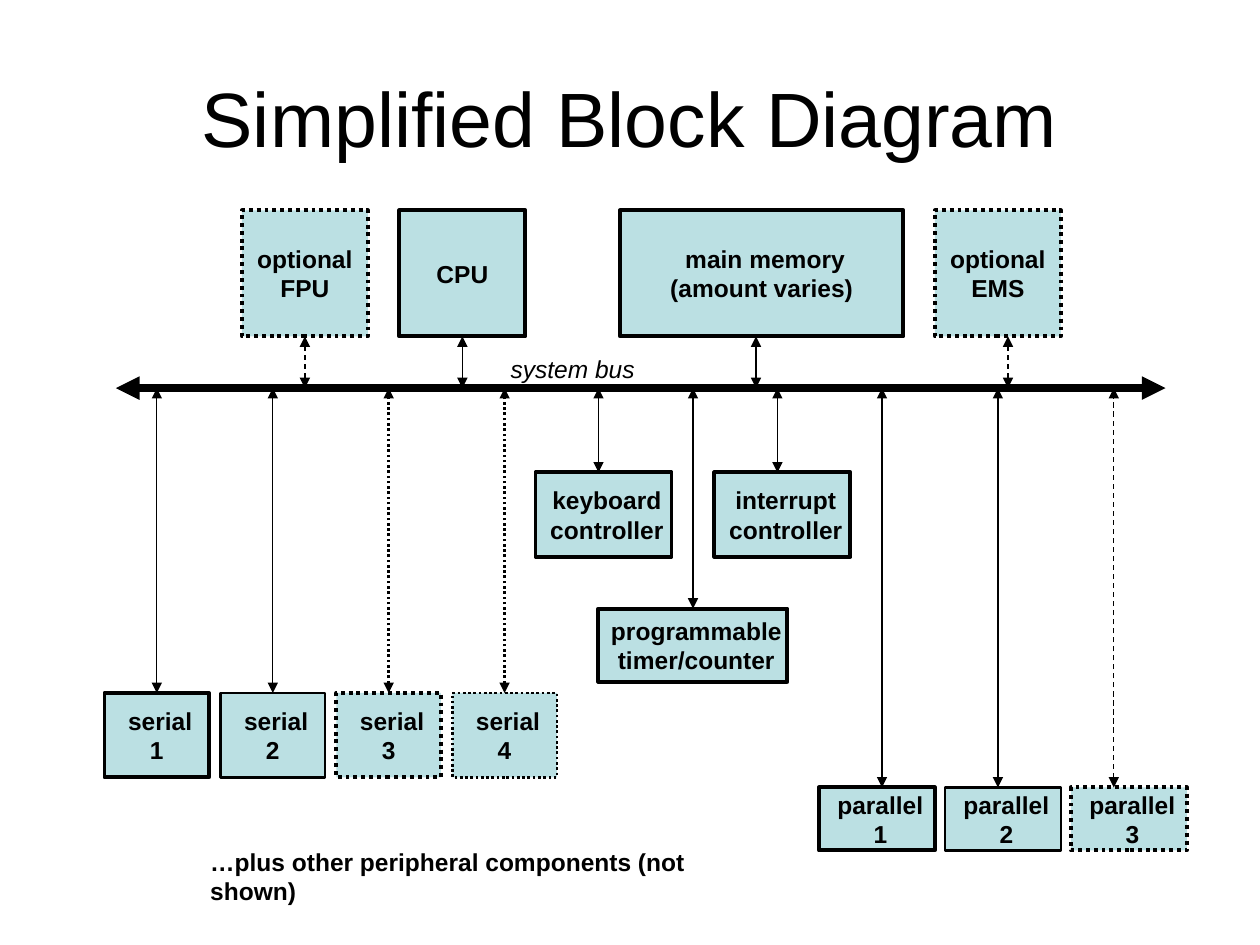
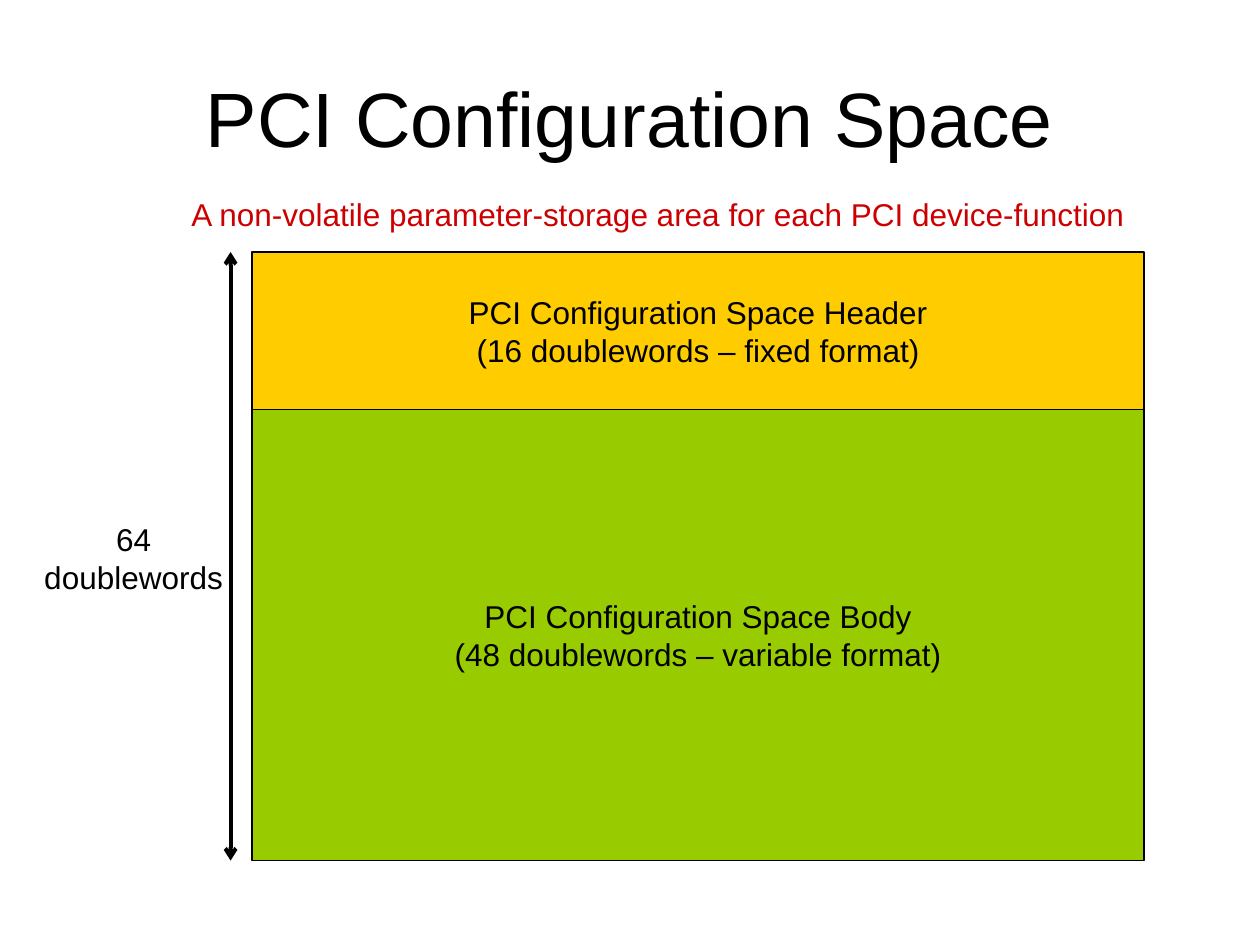
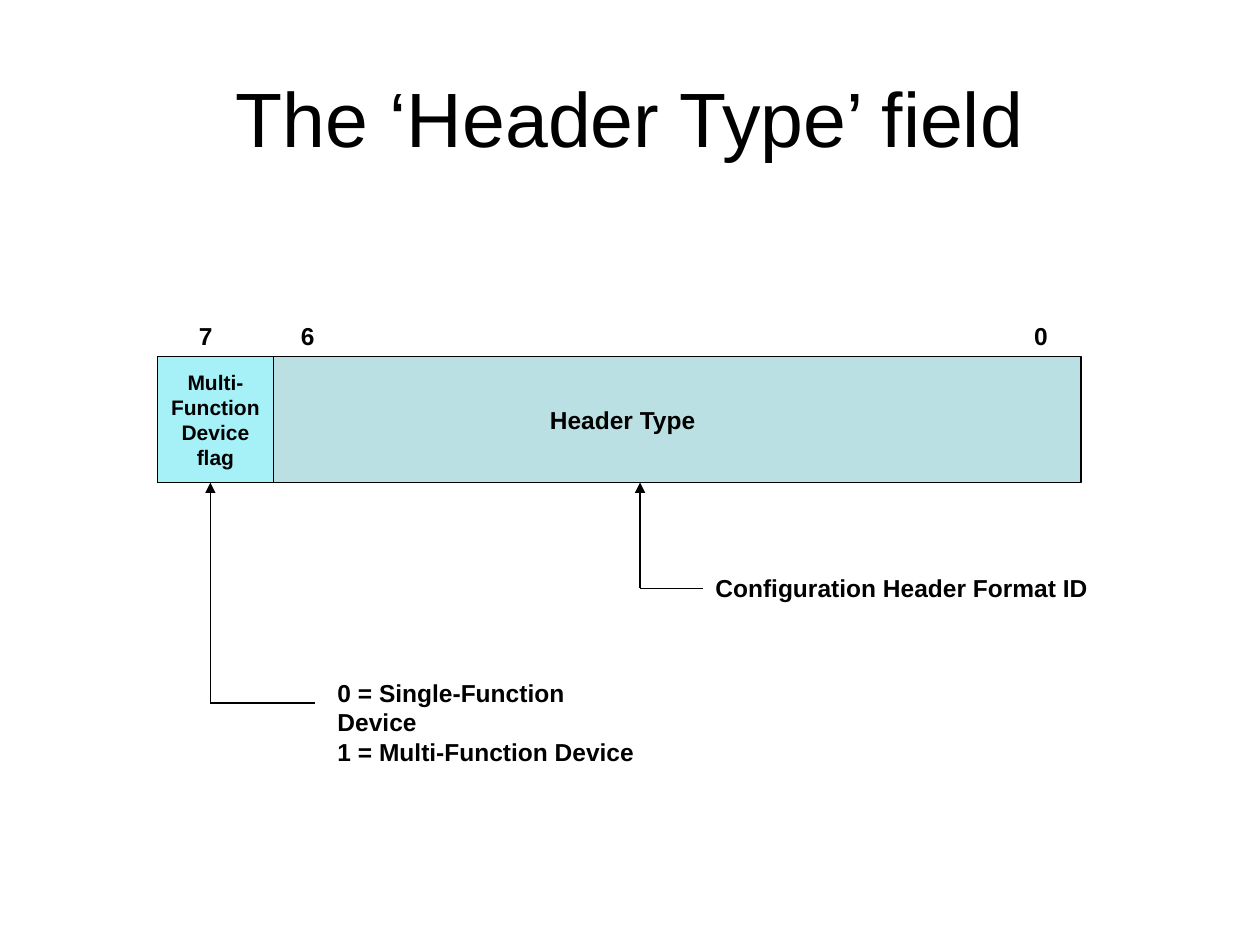
import lxml.etree
import pptx
import pptx.dml.color
import pptx.enum.dml
import pptx.enum.shapes
import pptx.enum.text
import pptx.oxml.ns
import pptx.util

Inches = pptx.util.Inches
Pt = pptx.util.Pt
ALIGN = pptx.enum.text.PP_ALIGN
DOTTED = pptx.enum.dml.MSO_LINE.ROUND_DOT
DASHED = pptx.enum.dml.MSO_LINE.DASH
TOP, BOTTOM = 0, 2
BLACK, PALE, CYAN = "000000", "BBE0E3", "A6F0F8"
GOLD, GREEN, RED = "FFCC00", "99CC00", "CC0000"


def rgb(code):
    return pptx.dml.color.RGBColor.from_string(code)


def add_xml(parent, tag, **attributes):
    return lxml.etree.SubElement(parent, pptx.oxml.ns.qn(tag), **attributes)


class Deck:
    """Holds the shared style and the current slide, and draws its elements."""

    font = "Arial"

    def __init__(self):
        self.deck = pptx.Presentation()
        self.deck.slide_width, self.deck.slide_height = Inches(10), Inches(7.5)
        self.slide = None

    def start(self, heading):
        self.slide = self.deck.slides.add_slide(self.deck.slide_layouts[5])
        title = self.slide.shapes.title
        title.left, title.top = Inches(0.5), Inches(0.3)
        title.width, title.height = Inches(9), Inches(1.25)
        title.text_frame.vertical_anchor = pptx.enum.text.MSO_ANCHOR.MIDDLE
        self.add_lines(title.text_frame, [heading], 44, align=ALIGN.CENTER)

    def add_lines(self, frame, lines, size, color=BLACK, bold=False, italic=False,
                  align=ALIGN.LEFT):
        for number, line in enumerate(lines):
            paragraph = frame.add_paragraph() if number else frame.paragraphs[0]
            paragraph.alignment = align
            run = paragraph.add_run()
            run.text = line
            run.font.name, run.font.size = self.font, Pt(size)
            run.font.bold, run.font.italic = bold, italic
            run.font.color.rgb = rgb(color)

    def outline(self, line, width, dash):
        line.color.rgb = rgb(BLACK)
        line.width = Pt(width)
        if dash:
            line.dash_style = dash

    def block(self, area, lines, fill=PALE, width=2.25, dash=None, size=14, bold=True):
        block = self.slide.shapes.add_shape(
            pptx.enum.shapes.MSO_SHAPE.RECTANGLE, *map(Inches, area))
        block.shadow.inherit = False
        block.fill.solid()
        block.fill.fore_color.rgb = rgb(fill)
        self.outline(block.line, width, dash)
        block.text_frame.word_wrap = False
        block.text_frame.vertical_anchor = pptx.enum.text.MSO_ANCHOR.MIDDLE
        self.add_lines(block.text_frame, lines, size, bold=bold, align=ALIGN.CENTER)
        return block

    def label(self, area, lines, size=14, tabs=(), **style):
        frame = self.slide.shapes.add_textbox(*map(Inches, area)).text_frame
        frame.word_wrap = bool(tabs)
        frame.auto_size = pptx.enum.text.MSO_AUTO_SIZE.SHAPE_TO_FIT_TEXT
        self.add_lines(frame, lines, size, **style)
        if tabs:
            stops = add_xml(frame.paragraphs[0]._p.get_or_add_pPr(), "a:tabLst")
            for stop in tabs:
                add_xml(stops, "a:tab", pos=str(int(Inches(stop))), algn="l")

    def wire(self, start, end, width=0.75, dash=None, head=None, tail=None):
        wire = self.slide.shapes.add_connector(
            pptx.enum.shapes.MSO_CONNECTOR.STRAIGHT, *map(Inches, start + end))
        self.outline(wire.line, width, dash)
        for tag, arrow in (("a:headEnd", head), ("a:tailEnd", tail)):
            if arrow:
                add_xml(wire.line._get_or_add_ln(), tag, type=arrow)
        add_xml(wire._element.spPr, "a:effectLst")
        return wire

    def bus_link(self, block, side, bus, x=None, width=0.75, dash=None):
        edge = block.top if side == TOP else block.top + block.height
        center = (block.left + block.width / 2) / Inches(1)
        across = center if x is None else x
        link = self.wire((across, edge / Inches(1)), (across, bus), width, dash,
                         "triangle", "triangle")
        if x is None:
            link.begin_connect(block, side)


def block_diagram(deck):
    deck.start("Simplified Block Diagram")
    bus = 3.08
    deck.wire((0.92, bus), (9.25, bus), 4.5, head="triangle", tail="triangle")
    deck.label((3.9, 2.76, 1.24, 0.34), [" system bus"], italic=True)

    for left, width, lines, link_x, optional in (
            (3.17, 1, ["CPU"], None, False),
            (4.92, 2.25, [" main memory", " (amount varies) "], 6, False),
            (1.92, 1, ["optional", "FPU"], None, True),
            (7.42, 1, ["optional", "EMS"], 8, True)):
        unit = deck.block((left, 1.67, width, 1), lines, dash=DOTTED if optional else None)
        deck.bus_link(unit, BOTTOM, bus, link_x, dash=DASHED if optional else None)

    for port, (border, dash) in enumerate(
            ((2.25, None), (1.5, None), (2.25, DOTTED), (1.5, DOTTED))):
        serial = deck.block((0.83 + 0.92 * port, 5.5, 0.83, 0.67),
                            [" serial", f" {port + 1} "], width=border, dash=dash)
        deck.bus_link(serial, TOP, bus, width=1.5 if dash else 0.75, dash=dash)

    for area, lines, link_x in (
            ((4.25, 3.75, 1.08, 0.67), [" keyboard", " controller"], 4.75),
            ((5.67, 3.75, 1.08, 0.67), [" interrupt", " controller"], 6.17),
            ((4.75, 4.83, 1.5, 0.58), [" programmable", " timer/counter"], None)):
        deck.bus_link(deck.block(area, lines), TOP, bus, link_x)

    for port, (border, dash, link_dash) in enumerate(
            ((2.25, None, None), (1.5, None, None), (2.25, DOTTED, DASHED))):
        parallel = deck.block((6.5 + port, 6.25, 0.92, 0.5),
                              [" parallel", f" {port + 1}"], width=border, dash=dash)
        deck.bus_link(parallel, TOP, bus, 7 + 0.92 * port, dash=link_dash)

    deck.label((1.57, 6.67, 4.7, 0.34),
               ["…plus other peripheral components (not shown)"], bold=True)


def configuration_space(deck):
    deck.start("PCI Configuration Space")
    for top, height, fill, lines in (
            (3.25, 3.58, GREEN,
             ["PCI Configuration Space Body", "(48 doublewords – variable format)"]),
            (2, 1.25, GOLD,
             ["PCI Configuration Space Header", "(16 doublewords – fixed format)"])):
        deck.block((2, top, 7.08, height), lines, fill, 0.75, size=18, bold=False)
    deck.label((0.25, 4.08, 1.62, 0.7), ["64", "doublewords"], 18, align=ALIGN.CENTER)
    deck.wire((1.83, 2), (1.83, 6.83), 2.25, head="arrow", tail="arrow")
    deck.label((1.42, 1.5, 7.62, 0.4),
               ["A non-volatile parameter-storage area for each PCI device-function"],
               18, color=RED)


def header_type(deck):
    deck.start("The ‘Header Type’ field")
    deck.block((1.25, 2.83, 7.33, 1), [" Header Type"], width=0.75)
    deck.block((1.25, 2.83, 0.92, 1), ["Multi-", "Function", "Device", "flag"],
               CYAN, 0.75, size=12)
    deck.label((1.48, 2.5, 6.97, 0.34), ["7\t6\t0"], tabs=(0.81, 6.63), bold=True)
    for x, y, note_x, area, lines in (
            (1.67, 5.58, 2.5, (2.58, 5.33, 2.68, 0.57),
             ["0 = Single-Function Device", "1 = Multi-Function Device"]),
            (5.08, 4.67, 5.58, (5.58, 4.5, 3.16, 0.34),
             ["Configuration Header Format ID"])):
        deck.wire((x, y), (x, 3.83), tail="triangle")
        deck.wire((note_x, y), (x, y))
        deck.label(area, lines, bold=True)


def main():
    deck = Deck()
    block_diagram(deck)
    configuration_space(deck)
    header_type(deck)
    deck.deck.save("out.pptx")


if __name__ == "__main__":
    main()
